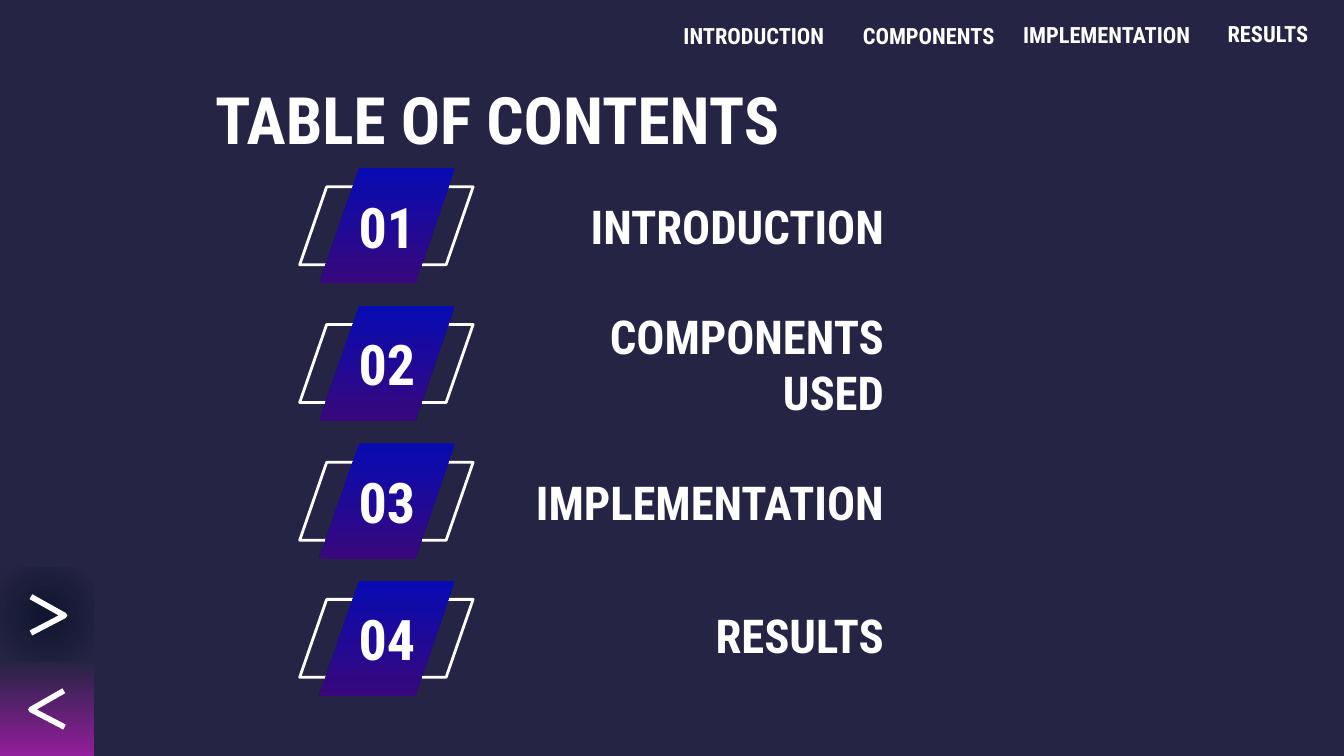
from lxml import etree
from pptx import Presentation
from pptx.dml.color import RGBColor
from pptx.enum.shapes import MSO_SHAPE
from pptx.enum.text import MSO_ANCHOR, MSO_AUTO_SIZE, PP_ALIGN
from pptx.oxml import parse_xml
from pptx.oxml.ns import nsdecls, qn
from pptx.util import Pt

PX = 4572  # EMU per px, 200 px to the inch
FONT = "Roboto Condensed"
BACK, WHITE = "262444", "FFFFFF"
BLUE, VIOLET = "070BB3", "38087C"
NAVY, MAGENTA = "10162F", "931E9B"

NAV = [("INTRODUCTION", (986, 17, 272, 72)), ("COMPONENTS", (1258, 17, 248, 72)),
       ("IMPLEMENTATION", (1497, 16, 300, 72)), ("RESULTS", (1774, 14, 226, 72))]
# Heading and its offset from the row's middle
ITEMS = [("INTRODUCTION", 0), ("COMPONENTS USED", 0),
         ("IMPLEMENTATION", 0), ("RESULTS", -5)]


def emu(*lengths):
    return [n * PX for n in lengths]


def color(hex_string):
    return RGBColor.from_string(hex_string)


def set_text(sp, text, size, align):
    tf = sp.text_frame
    tf.word_wrap = True
    tf.auto_size = MSO_AUTO_SIZE.NONE
    tf.vertical_anchor = MSO_ANCHOR.MIDDLE
    tf.margin_left = tf.margin_right = tf.margin_top = tf.margin_bottom = 20 * PX
    p = tf.paragraphs[0]
    p.alignment = align
    r = p.add_run()
    r.text = text
    r.font.name, r.font.size, r.font.bold = FONT, Pt(size), True
    r.font.color.rgb = color(WHITE)


def add_label(s, box, text, size, align):
    set_text(s.shapes.add_textbox(*emu(*box)), text, size, align)


def add_plain(s, kind, box):
    sp = s.shapes.add_shape(kind, *emu(*box))
    sp.shadow.inherit = False
    sp.fill.background()
    sp.line.fill.background()
    return sp


def set_line(sp, width):
    sp.line.color.rgb = color(WHITE)
    sp.line.width = Pt(width)


def set_gradient(sp, start, end, radial=False):
    sp.fill.gradient()
    sp.fill.gradient_angle = 270  # top to bottom
    for stop, c in zip(sp.fill.gradient_stops, (start, end)):
        stop.color.rgb = color(c)
    if radial:
        lin = sp.element.spPr.find(".//" + qn("a:lin"))
        circle = parse_xml(f'<a:path {nsdecls("a")} path="circle"/>')
        etree.SubElement(circle, qn("a:fillToRect"),
                         {side: "50000" for side in "ltrb"})
        lin.getparent().replace(lin, circle)


def add_title(s, box, text):
    sp = s.shapes.title
    sp.left, sp.top, sp.width, sp.height = emu(*box)
    set_text(sp, text, 35, PP_ALIGN.LEFT)


def add_nav(s):
    for text, box in NAV:
        add_label(s, box, text, 12, PP_ALIGN.CENTER)


def add_item(s, x, y, number, text, shift):
    # Outlined frame behind a gradient badge
    frame = add_plain(s, MSO_SHAPE.PARALLELOGRAM, (x, y + 28, 258, 116))
    set_line(frame, 1.5)
    badge = add_plain(s, MSO_SHAPE.PARALLELOGRAM, (x + 29, y, 202, 172))
    set_gradient(badge, BLUE, VIOLET)
    for sp in (frame, badge):
        sp.adjustments[0] = 0.346
    # Number and heading
    add_label(s, (x + 14, y + 46, 232, 80), f"{number:02}", 30, PP_ALIGN.CENTER)
    add_label(s, (x + 315, y + 28 + shift, 574, 116), text, 25, PP_ALIGN.RIGHT)


def add_arrow_button(s, x, y, start, end, points, radial=False):
    tile = add_plain(s, MSO_SHAPE.RECTANGLE, (x, y, 140, 140))
    set_gradient(tile, start, end, radial)
    first, *rest = [(x + dx, y + dy) for dx, dy in points]
    builder = s.shapes.build_freeform(*first, scale=PX)
    builder.add_line_segments(rest, close=False)
    chevron = builder.convert_to_shape()
    chevron.shadow.inherit = False
    chevron.fill.background()
    set_line(chevron, 3)


def main():
    prs = Presentation()
    prs.slide_width, prs.slide_height = emu(2000, 1125)
    s = prs.slides.add_slide(prs.slide_layouts[5])
    s.background.fill.solid()
    s.background.fill.fore_color.rgb = color(BACK)

    add_title(s, (300, 113, 1544, 126), "TABLE OF CONTENTS")
    for i, (text, shift) in enumerate(ITEMS):
        add_item(s, 446, 250 + round(i * 204.75), i + 1, text, shift)
    add_arrow_button(s, 0, 985, BACK, MAGENTA, [(95, 43), (46, 71), (96, 97)])
    add_arrow_button(s, 0, 845, NAVY, BACK, [(46, 43), (96, 71), (46, 97)], radial=True)
    add_nav(s)
    prs.save("out.pptx")


if __name__ == "__main__":
    main()
